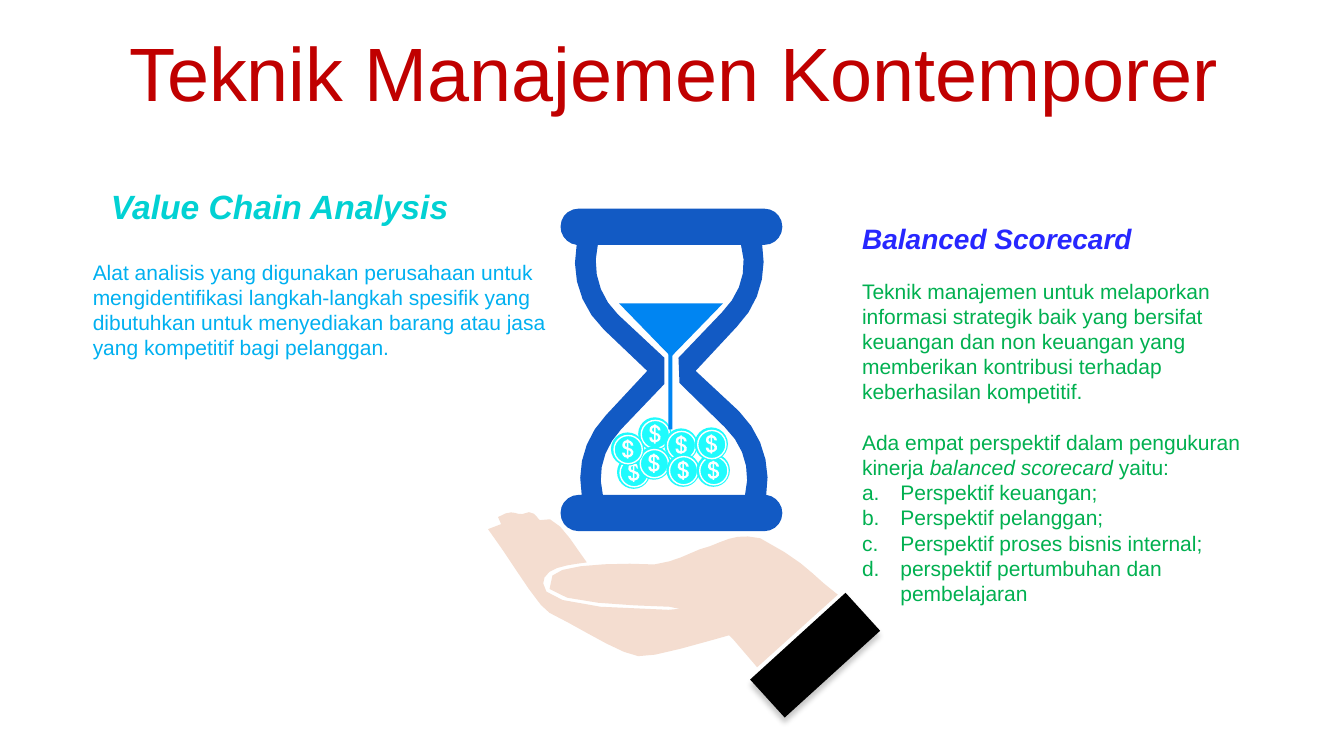
"""Slide on contemporary management techniques with an hourglass held in a hand."""
import pptx
import pptx.util
import pptx.dml.color
import pptx.enum.shapes
import pptx.enum.text
import pptx.oxml
import pptx.oxml.ns

PX = 9144
CURVE_STEPS = 5
FONT = "Arial"
COLORS = {"title": "C00000", "value": "02D1D3", "value_body": "00B0F0",
          "score": "2727FF", "score_body": "00B050", "glass": "125AC4",
          "sand": "0085F2", "coin": "1FFBFD", "skin": "F4DDD0",
          "white": "FFFFFF", "cuff": "000000"}

TITLE = ("Teknik Manajemen Kontemporer", (35, 37, 1266, 79), 54, "title")
HEADINGS = [
    (1, "Value Chain Analysis", (100, 179, 386, 50), 24, "value"),
    (3, "Balanced Scorecard", (845, 215, 435, 44), 20, "score"),
]
VALUE_BODY = ["Alat analisis yang digunakan perusahaan untuk mengidentifikasi "
              "langkah-langkah spesifik yang dibutuhkan untuk menyediakan barang "
              "atau jasa yang kompetitif bagi pelanggan."]
SCORE_BODY = ["Teknik manajemen untuk melaporkan informasi strategik baik yang bersifat "
              "keuangan dan non keuangan yang memberikan kontribusi terhadap "
              "keberhasilan kompetitif.",
              "Ada empat perspektif dalam pengukuran kinerja *balanced scorecard* yaitu:"]
PERSPECTIVES = ["Perspektif keuangan;", "Perspektif pelanggan;",
                "Perspektif proses bisnis internal;",
                "perspektif pertumbuhan dan pembelajaran"]
BODIES = [
    (2, VALUE_BODY, [], (82, 252, 479, 111), "value_body"),
    (4, SCORE_BODY, PERSPECTIVES, (845, 271, 435, 338), "score_body"),
]

HOURGLASS = """
M 593 243 C 587 267 594 294 613 312 L 659 355 L 659 381 L 616 426
C 599 444 592 468 598 491 L 739 491 C 745 467 738 442 719 424 L 674 380
L 673 355 L 716 310 C 735 291 742 267 735 243
M 574 207 L 758 207 C 768 207 776 215 776 225 C 776 235 768 243 758 243 L 756 243
C 761 271 753 302 731 324 L 690 368 L 733 408 C 756 431 765 462 760 491
C 769 492 776 500 776 509 C 776 519 768 527 758 527 L 574 527
C 564 527 556 519 556 509 C 556 499 564 491 574 491 L 577 491
C 572 463 580 434 601 412 L 642 368 L 599 327
C 576 305 566 273 572 243 C 563 242 556 234 556 225 C 556 215 564 207 574 207"""
PALM = """
M 649 560 C 611 558 556 560 548 571 C 522 598 612 600 664 602 L 702 610
L 727 634 L 751 662 L 831 590 C 803 569 803 560 754 534 C 731 529 722 535 704 542
C 686 546 677 556 649 560"""
FINGERS = """
M 582 558 C 571 544 551 506 536 516 C 534 518 531 503 518 510 C 511 511 509 504 494 513
L 497 520 L 484 525 C 505 553 534 603 545 608
C 574 622 613 648 633 651 C 652 653 719 630 762 620 C 758 613 722 595 663 605
C 521 604 539 580 540 573 C 545 562 567 560 582 558"""
DOLLAR = """
M 63 190 L 48 190 L 48 180 L 25 175 L 6 155 L 0 130 L 25 130 L 32 149 L 48 156
L 48 100 L 18 88 L 2 65 L 6 35 L 22 16 L 48 7 L 48 0 L 63 0 L 63 7 L 85 16
L 105 35 L 112 60 L 88 60 L 80 40 L 63 30 L 63 83 L 94 94 L 112 120 L 110 147
L 92 167 L 63 178
M 48 77 L 48 30 L 34 36 L 27 50 L 32 68
M 63 156 L 80 150 L 88 133 L 82 114 L 63 105"""
COINS = [(612, 452), (633, 414), (659, 425), (632, 443),
         (606, 429), (661, 450), (691, 450), (689, 424)]
CUFF = (783, 586, 51, 128)

SHAPE = pptx.enum.shapes.MSO_SHAPE
prs = pptx.Presentation()
prs.slide_width, prs.slide_height = 1333 * PX, 750 * PX
s = prs.slides.add_slide(prs.slide_layouts[4])


def rgb(name):
    return pptx.dml.color.RGBColor.from_string(COLORS[name])


def paint(sp, color):
    sp.shadow.inherit = False
    sp.fill.solid()
    sp.fill.fore_color.rgb = rgb(color)
    sp.line.fill.background()
    return sp


def shape(kind, box, color):
    return paint(s.shapes.add_shape(kind, *(v * PX for v in box)), color)


def contours(outline):
    """Turn M, L and C commands into lists of points, with curves sampled."""
    result = []
    tokens = outline.split()
    while tokens:
        command = tokens.pop(0)
        count = 6 if command == "C" else 2
        values = [int(v) for v in tokens[:count]]
        del tokens[:count]
        pairs = list(zip(values[::2], values[1::2]))
        if command == "M":
            result.append(pairs)
        elif command == "L":
            result[-1] += pairs
        else:
            curve = [result[-1][-1]] + pairs
            for t in (i / CURVE_STEPS for i in range(1, CURVE_STEPS + 1)):
                weights = ((1 - t) ** 3, 3 * t * (1 - t) ** 2, 3 * t * t * (1 - t), t ** 3)
                result[-1].append(tuple(sum(w * p[axis] for w, p in zip(weights, curve))
                                        for axis in (0, 1)))
    return result


def freeform(outline, color, left=0, top=0, unit=PX):
    loops = [[(left * PX + x * unit, top * PX + y * unit) for x, y in loop]
             for loop in contours(outline)]
    builder = s.shapes.build_freeform(*loops[0][0], scale=1.0)
    for i, loop in enumerate(loops):
        if i:
            builder.move_to(*loop[0])
        builder.add_line_segments(loop[1:], close=True)
    return paint(builder.convert_to_shape(), color)


def place(idx, box, anchor):
    sp = s.placeholders[idx]
    sp.left, sp.top, sp.width, sp.height = (v * PX for v in box)
    tf = sp.text_frame
    tf.word_wrap = True
    tf.auto_size = pptx.enum.text.MSO_AUTO_SIZE.NONE
    tf.vertical_anchor = anchor
    return tf


def style(r, size, color, bold=False, italic=False):
    r.font.name, r.font.size = FONT, pptx.util.Pt(size)
    r.font.bold, r.font.italic = bold, italic
    r.font.color.rgb = rgb(color)


def bullet(p, kind, indent=0, **attributes):
    pPr = p._p.get_or_add_pPr()
    pPr.set("marL", str(indent * PX))
    pPr.set("indent", str(-indent * PX))
    mark = pptx.oxml.parse_xml(f"<a:{kind} {pptx.oxml.ns.nsdecls('a')}/>")
    for key, value in attributes.items():
        mark.set(key, value)
    pPr.append(mark)


text, box, size, color = TITLE
tf = place(0, box, pptx.enum.text.MSO_ANCHOR.MIDDLE)
tf.text = text
tf.paragraphs[0].line_spacing = 0.9
tf.paragraphs[0].alignment = pptx.enum.text.PP_ALIGN.CENTER
style(tf.paragraphs[0].runs[0], size, color)

for idx, text, box, size, color in HEADINGS:
    tf = place(idx, box, pptx.enum.text.MSO_ANCHOR.TOP)
    tf.text = text
    tf.paragraphs[0].space_before = pptx.util.Pt(0)
    style(tf.paragraphs[0].runs[0], size, color, True, True)

for idx, texts, items, box, color in BODIES:
    tf = place(idx, box, pptx.enum.text.MSO_ANCHOR.TOP)
    for i, text in enumerate(texts + items):
        p = tf.add_paragraph() if i else tf.paragraphs[0]
        p.line_spacing = pptx.util.Pt(18)
        p.space_before = pptx.util.Pt(18 if 0 < i < len(texts) else 0)
        for j, part in enumerate(text.split("*")):
            r = p.add_run()
            r.text = part
            style(r, 15, color, italic=j % 2 == 1)
        if i < len(texts):
            bullet(p, "buNone")
        else:
            bullet(p, "buAutoNum", 38, type="alphaLcPeriod")

freeform(HOURGLASS, "glass")
for x, y in COINS:
    shape(SHAPE.OVAL, (x, y, 33, 33), "coin")
    rim = shape(SHAPE.OVAL, (x + 3, y + 3, 28, 28), "coin")
    rim.line.color.rgb = rgb("white")
    rim.line.width = pptx.util.Pt(1)
    freeform(DOLLAR, "white", x + 11, y + 7, PX / 10)
shape(SHAPE.ISOSCELES_TRIANGLE, (614, 301, 103, 53), "sand").rotation = 180
shape(SHAPE.RECTANGLE, (663, 347, 4, 79), "sand")

freeform(PALM, "skin")
freeform(FINGERS, "skin")
cuff = shape(SHAPE.RECTANGLE, CUFF, "cuff")
cuff.rotation = 47.7
effects = cuff._element.spPr.find(pptx.oxml.ns.qn("a:effectLst"))
effects.append(pptx.oxml.parse_xml(
    f'<a:outerShdw {pptx.oxml.ns.nsdecls("a")} blurRad="{4 * 12700}" dist="{4 * 12700}" '
    f'dir="5400000" rotWithShape="0"><a:srgbClr val="{COLORS["cuff"]}">'
    '<a:alpha val="22000"/></a:srgbClr></a:outerShdw>'))

prs.save("out.pptx")
